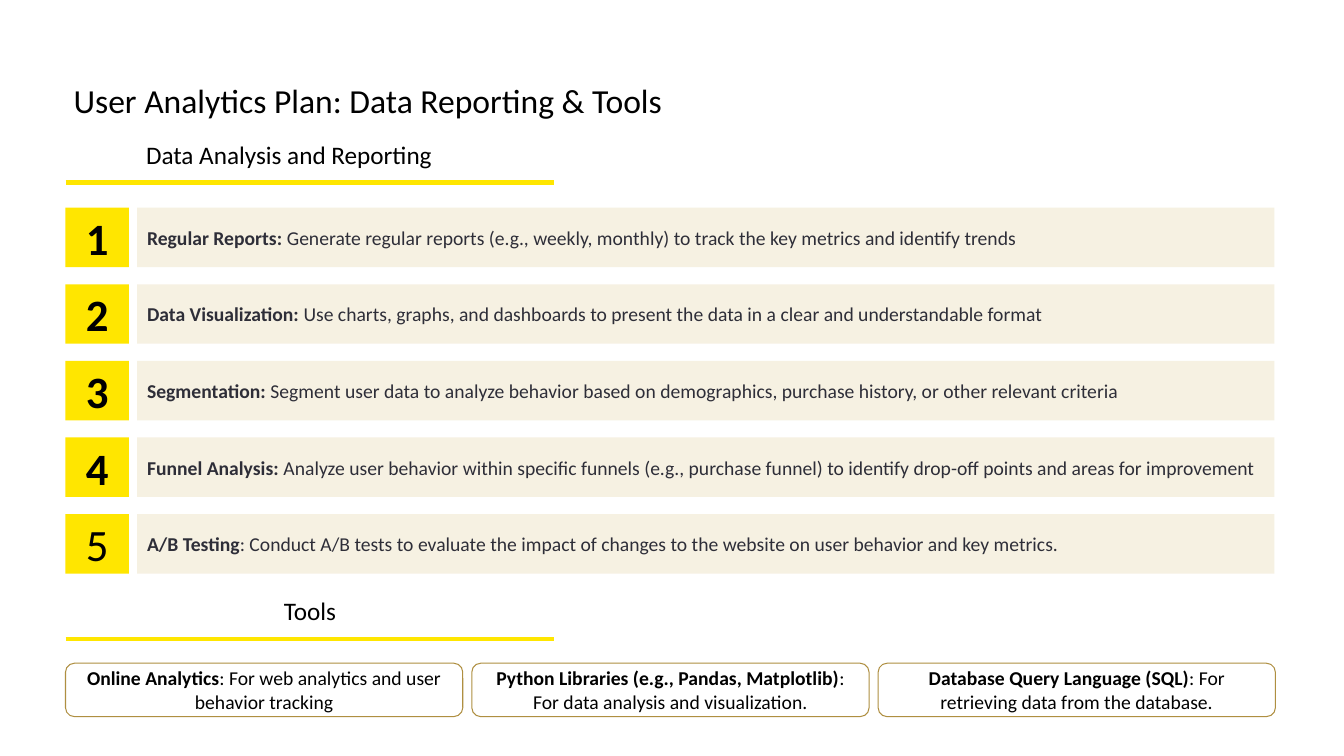
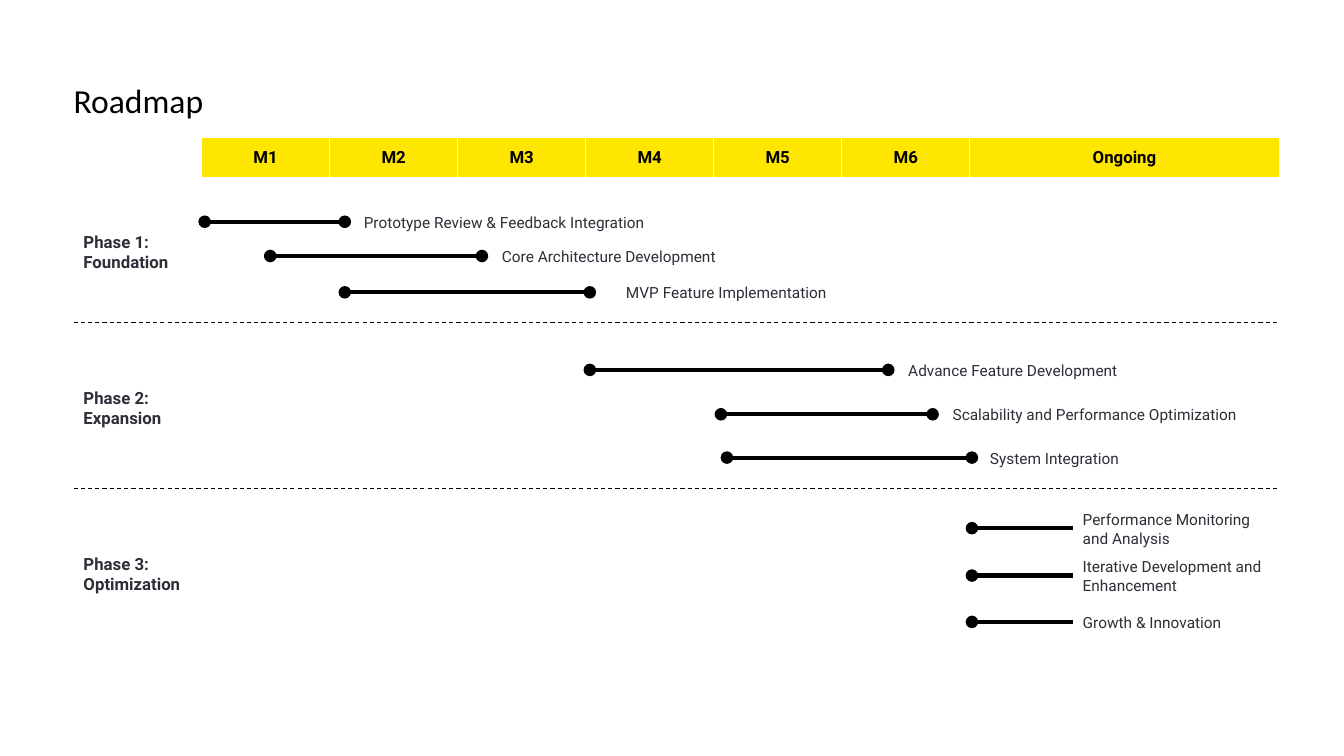
from pptx import Presentation
from pptx.dml.color import RGBColor
from pptx.enum.dml import MSO_LINE
from pptx.enum.shapes import MSO_CONNECTOR, MSO_SHAPE
from pptx.enum.text import MSO_ANCHOR, PP_ALIGN
from pptx.oxml.ns import qn
from pptx.util import Emu, Pt
from lxml import etree

RECT, ROUNDED = MSO_SHAPE.RECTANGLE, MSO_SHAPE.ROUNDED_RECTANGLE
STRAIGHT, DASH = MSO_CONNECTOR.STRAIGHT, MSO_LINE.DASH
LEFT, CENTER = PP_ALIGN.LEFT, PP_ALIGN.CENTER
TOP, MIDDLE = MSO_ANCHOR.TOP, MSO_ANCHOR.MIDDLE

SCALE = 9144  # EMU in one px, 100 px to the inch
COLORS = {
    "yellow": "FFE600", "cream": "F6F1E2", "gold": "AF8F41",
    "ink": "2E2E38", "black": "000000", "white": "FFFFFF",
}
BODY, ROADMAP = "Calibri", "Roboto"
MARGIN = 65

REPORTING = [
    ("Regular Reports: ", "Generate regular reports (e.g., weekly, monthly) to track "
     "the key metrics and identify trends"),
    ("Data Visualization: ", "Use charts, graphs, and dashboards to present the data "
     "in a clear and understandable format"),
    ("Segmentation: ", "Segment user data to analyze behavior based on demographics, "
     "purchase history, or other relevant criteria"),
    ("Funnel Analysis: ", "Analyze user behavior within specific funnels (e.g., purchase "
     "funnel) to identify drop-off points and areas for improvement"),
    ("A/B Testing", ": Conduct A/B tests to evaluate the impact of changes to the "
     "website on user behavior and key metrics."),
]
TOOLS = [
    ("Online Analytics", ": For web analytics and user behavior tracking"),
    ("Python Libraries (e.g., Pandas, Matplotlib)",
     ": For data analysis and visualization."),
    ("Database Query Language (SQL)", ": For retrieving data from the database."),
]
PERIODS = ["M1", "M2", "M3", "M4", "M5", "M6", "Ongoing"]
# name, top, height
PHASES = [
    ("Phase 1:\nFoundation", 177, 146),
    ("Phase 2:\nExpansion", 322, 166),
    ("Phase 3:\nOptimization", 486, 166),
]
DIVIDERS = [320, 485]
# start, end, y, label left, label
TASKS = [
    (203, 342, 220, 351, "Prototype Review & Feedback Integration"),
    (268, 478, 254, 488, "Core Architecture Development"),
    (342, 585, 290, 611, "MVP Feature Implementation"),
    (585, 881, 367, 891, "Advance Feature Development"),
    (715, 925, 411, 935, "Scalability and Performance Optimization"),
    (721, 964, 454, 972, "System Integration"),
]
ONGOING_TASKS = [
    (524, "Performance Monitoring and Analysis"),
    (571, "Iterative Development and Enhancement"),
    (617, "Growth & Innovation"),
]


def px(*lengths):
    return [Emu(n * SCALE) for n in lengths]


def rgb(name):
    return RGBColor.from_string(COLORS[name])


def style(font, size, face, color, bold=False):
    font.size, font.name, font.bold = Pt(size), face, bold
    font.color.rgb = rgb(color)


def write(tf, text, size, face=BODY, color="black", bold=False, align=LEFT,
          anchor=TOP, lead=""):
    """Fill a text frame; lead is a bold opening of the first paragraph."""
    tf.word_wrap = True
    tf.vertical_anchor = anchor
    tf.text = lead or text
    if lead:
        tf.paragraphs[0].add_run().text = text
    for p in tf.paragraphs:
        p.alignment = align
        for r in p.runs:
            style(r.font, size, face, color, bold)
    if lead:
        tf.paragraphs[0].runs[0].font.bold = True


def add_text(s, box, text, size, **look):
    tf = s.shapes.add_textbox(*px(*box)).text_frame
    write(tf, text, size, **look)
    return tf


def add_title(s, text):
    tf = add_text(s, (73, 79, 593, 40), text, 24)
    tf.margin_left = tf.margin_top = tf.margin_right = tf.margin_bottom = 0
    tf.word_wrap = False


def add_box(s, box, fill, text, size, kind=RECT, border=None, **look):
    sp = s.shapes.add_shape(kind, *px(*box))
    sp.shadow.inherit = False
    sp.fill.solid()
    sp.fill.fore_color.rgb = rgb(fill)
    if border:
        sp.line.color.rgb = rgb(border)
        sp.line.width = Pt(0.75)
    else:
        sp.line.fill.background()
    write(sp.text_frame, text, size, anchor=MIDDLE, **look)


def add_rule(s, x1, x2, y, color="black", width=3, dash=None, ends=()):
    """Draw a level line; ends names the XML line ends that carry a dot."""
    line = s.shapes.add_connector(STRAIGHT, *px(x1, y, x2, y))
    line.line.color.rgb = rgb(color)
    line.line.width = Pt(width)
    if dash:
        line.line.dash_style = dash
    ln = line.line._get_or_add_ln()
    for end in ends:
        etree.SubElement(ln, qn(f"a:{end}"), type="oval")
    etree.SubElement(line._element.spPr, qn("a:effectLst"))


def add_heading(s, top, text, align=LEFT):
    add_text(s, (135, top, 345, 40), text, 18, align=align)
    add_rule(s, MARGIN, 549, top + 48, "yellow")


def set_borders(cell, color):
    tc_pr = cell._tc.get_or_add_tcPr()
    for i, (side, width) in enumerate([("L", 1), ("R", 1), ("T", 1), ("B", 3)]):
        ln = etree.Element(qn(f"a:ln{side}"), w=str(Pt(width)))
        fill = etree.SubElement(ln, qn("a:solidFill"))
        etree.SubElement(fill, qn("a:srgbClr"), val=COLORS[color])
        tc_pr.insert(i, ln)


def add_period_table(s):
    table = s.shapes.add_table(1, len(PERIODS), *px(200, 136, 1069, 41)).table
    for i, period in enumerate(PERIODS):
        table.columns[i].width = px(307 if period == "Ongoing" else 127)[0]
        cell = table.cell(0, i)
        cell.fill.solid()
        cell.fill.fore_color.rgb = rgb("yellow")
        set_borders(cell, "white")
        write(cell.text_frame, period, 12, face=ROADMAP, bold=True, align=CENTER)
        cell.vertical_anchor = MIDDLE


def add_task(s, start, end, y, label_left, label, ends, label_width=346):
    add_rule(s, start, end, y, ends=ends)
    add_text(s, (label_left, y - 23, label_width, 47), label, 11,
             face=ROADMAP, color="ink", anchor=MIDDLE)


def build_reporting(s):
    add_title(s, "User Analytics Plan: Data Reporting & Tools")
    add_heading(s, 133, "Data Analysis and Reporting")
    for i, (lead, text) in enumerate(REPORTING):
        top = 206 + 76 * i
        add_box(s, (136, top, 1128, 59), "cream", text, 14, color="ink", lead=lead)
        add_box(s, (MARGIN, top, 63, 59), "yellow", str(i + 1), 32,
                bold=i < len(REPORTING) - 1, align=CENTER)
    add_heading(s, 586, "Tools", CENTER)
    width, gap = 394, 9
    for i, (lead, text) in enumerate(TOOLS):
        add_box(s, (MARGIN + i * (width + gap), 658, width, 53), "white", text, 14,
                kind=ROUNDED, border="gold", align=CENTER, lead=lead)


def build_roadmap(s):
    add_title(s, "Roadmap")
    for name, top, height in PHASES:
        add_box(s, (73, top, 1196, height), "white", name, 12,
                face=ROADMAP, color="ink", bold=True)
    add_period_table(s)
    for y in DIVIDERS:
        add_rule(s, 73, 1269, y, width=0.75, dash=DASH)
    for task in TASKS:
        add_task(s, *task, ends=("headEnd", "tailEnd"))
    for y, label in ONGOING_TASKS:
        add_task(s, 964, 1064, y, 1064, label, ends=("headEnd",), label_width=206)


def main():
    prs = Presentation()
    prs.slide_width, prs.slide_height = px(1333, 750)
    for build in (build_reporting, build_roadmap):
        build(prs.slides.add_slide(prs.slide_layouts[6]))
    prs.save("out.pptx")


if __name__ == "__main__":
    main()
